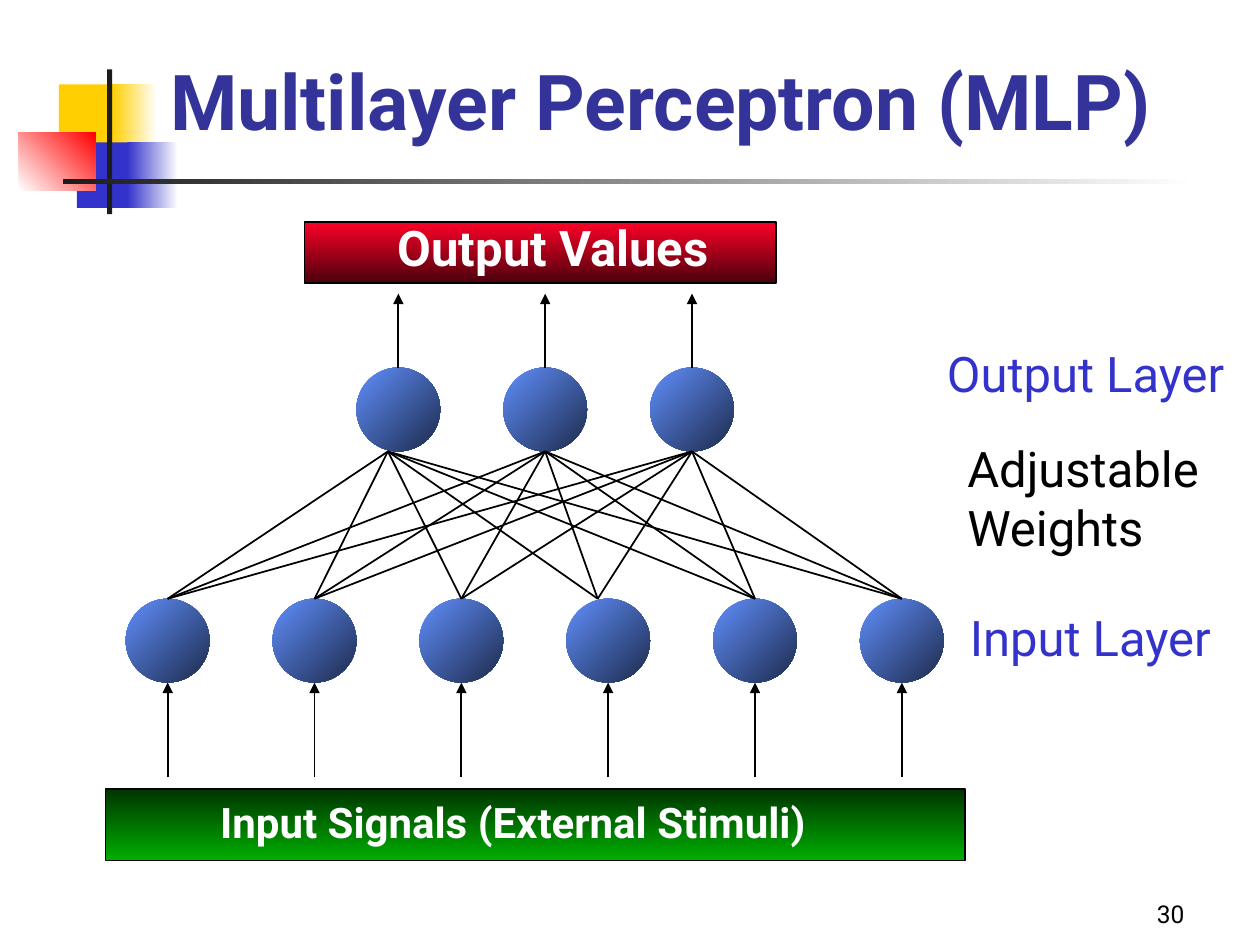
from lxml import etree
from pptx import Presentation
from pptx import util as u
from pptx.dml import color
from pptx.enum import shapes, text
from pptx.oxml import ns

COLORS = {
    "yellow": "FFCF01", "blue": "3333CC", "red": "FF0000", "white": "FFFFFF",
    "charcoal": "1C1C1C", "black": "000000", "title": "333399",
    "green_dark": "003400", "green": "00AE00",
    "crimson": "FC0128", "maroon": "4B000C",
    "node_light": "618FFD", "node_dark": "1D2B4B",
}
RECTANGLE = shapes.MSO_SHAPE.RECTANGLE
OVAL = shapes.MSO_SHAPE.OVAL


def rgb(name):
    return color.RGBColor.from_string(COLORS[name])


def add_filled(parent, kind, box, fills, angle=0, outline=None):
    shape = parent.add_shape(kind, *map(u.Cm, box))
    shape.shadow.inherit = False
    if len(fills) == 1:
        shape.fill.solid()
        shape.fill.fore_color.rgb = rgb(fills[0])
    else:
        shape.fill.gradient()
        shape.fill.gradient_angle = (360 - angle) % 360
        for stop, name in zip(shape.fill.gradient_stops, fills):
            stop.color.rgb = rgb(name)
    if outline:
        shape.line.color.rgb = rgb(outline)
        shape.line.width = u.Pt(1)
    else:
        shape.line.fill.background()


def add_line(parent, start, end, arrow=False):
    line = parent.add_connector(
        shapes.MSO_CONNECTOR.STRAIGHT, *map(u.Cm, (*start, *end)))
    line.line.color.rgb = rgb("black")
    line.line.width = u.Pt(1)
    if arrow:
        etree.SubElement(line.line._get_or_add_ln(), ns.qn("a:tailEnd"),
                         type="triangle")
    etree.SubElement(line._element.spPr, ns.qn("a:effectLst"))


def add_text(parent, box, words, size=28, tint="black", bold=False,
             align=text.PP_ALIGN.LEFT, anchor=text.MSO_ANCHOR.TOP):
    frame = parent.add_textbox(*map(u.Cm, box)).text_frame
    frame.word_wrap = True
    frame.vertical_anchor = anchor
    frame.text = words
    for para in frame.paragraphs:
        para.alignment = align
        for span in para.runs:
            span.font.name = "Roboto"
            span.font.size = u.Pt(size)
            span.font.bold = bold
            span.font.color.rgb = rgb(tint)


def add_ornament(page, left, top):
    blocks = [
        ((0.81, 0.3, 1.22, 1.32), ["yellow"], 0),
        ((1.88, 0.3, 0.91, 1.32), ["yellow", "white"], 0),
        ((1.17, 1.47, 1.17, 1.32), ["blue"], 0),
        ((2.19, 1.47, 1.02, 1.32), ["blue", "white"], 0),
        ((0, 1.27, 1.55, 1.17), ["white", "red"], 315),
        ((1.78, 0, 0.1, 2.92), ["charcoal"], 0),
        ((0.89, 2.21, 22.86, 0.1), ["charcoal", "white"], 0),
    ]
    for (x, y, width, height), fills, angle in blocks:
        add_filled(page.shapes, RECTANGLE,
                   (left + x, top + y, width, height), fills, angle)


def add_network(page, left, top):
    group = page.shapes.add_group_shape().shapes
    node, pitch = 1.69, 2.96
    output_top, input_top = top + 3.14, top + 7.8
    output_bottom, input_bottom = output_top + node, input_top + node
    outputs = [left + 5.9 + pitch * i for i in range(3)]
    inputs = [left + 1.25 + pitch * i for i in range(6)]

    add_filled(group, RECTANGLE, (left, top + 11.63, 17.32, 1.45),
               ["green_dark", "green"], 90, "black")
    add_filled(group, RECTANGLE, (left + 4.01, top + 0.2, 9.5, 1.24),
               ["crimson", "maroon"], 90, "black")
    for centers, y in ((outputs, output_top), (inputs, input_top)):
        for x in centers:
            add_filled(group, OVAL, (x - node / 2, y, node, node),
                       ["node_light", "node_dark"], 45)

    shift = 0.21
    output_ends = [outputs[0] - shift, *outputs[1:]]
    input_ends = [*inputs[:3], inputs[3] - shift, *inputs[4:]]
    for output_x in output_ends:
        for input_x in input_ends:
            add_line(group, (output_x, output_bottom), (input_x, input_top))
    for x in outputs:
        add_line(group, (x, output_top), (x, top + 1.65), arrow=True)
    for x in inputs:
        add_line(group, (x, top + 11.4), (x, input_bottom), arrow=True)

    add_text(group, (left + 5.64, top, 7.57, 1.42), "Output Values",
             tint="white", bold=True)
    add_text(group, (left + 2.06, top + 11.66, 13.64, 1.27),
             "Input Signals (External Stimuli)",
             size=24, tint="white", bold=True)


def add_layer_labels(page, left, top):
    add_text(page.shapes, (left, top, 6.6, 1.42), "Output Layer", tint="blue")
    add_text(page.shapes, (left + 0.41, top + 1.9, 5.41, 2.62),
             "Adjustable\nWeights")
    add_text(page.shapes, (left + 0.46, top + 5.31, 5.82, 1.42),
             "Input Layer", tint="blue")


def main():
    deck = Presentation()
    deck.slide_width, deck.slide_height = u.Cm(25.4), u.Cm(19.05)
    page = deck.slides.add_slide(deck.slide_layouts[6])
    add_ornament(page, 0.38, 1.4)
    add_text(page.shapes, (3.18, 0.42, 20.53, 3.18),
             "Multilayer Perceptron (MLP)", size=44, tint="title", bold=True,
             anchor=text.MSO_ANCHOR.MIDDLE)
    add_network(page, 2.13, 4.27)
    add_layer_labels(page, 18.84, 6.81)
    add_text(page.shapes, (18.85, 17.58, 5.28, 1.27), "30", size=14,
             align=text.PP_ALIGN.RIGHT, anchor=text.MSO_ANCHOR.BOTTOM)
    deck.save("out.pptx")


if __name__ == "__main__":
    main()
